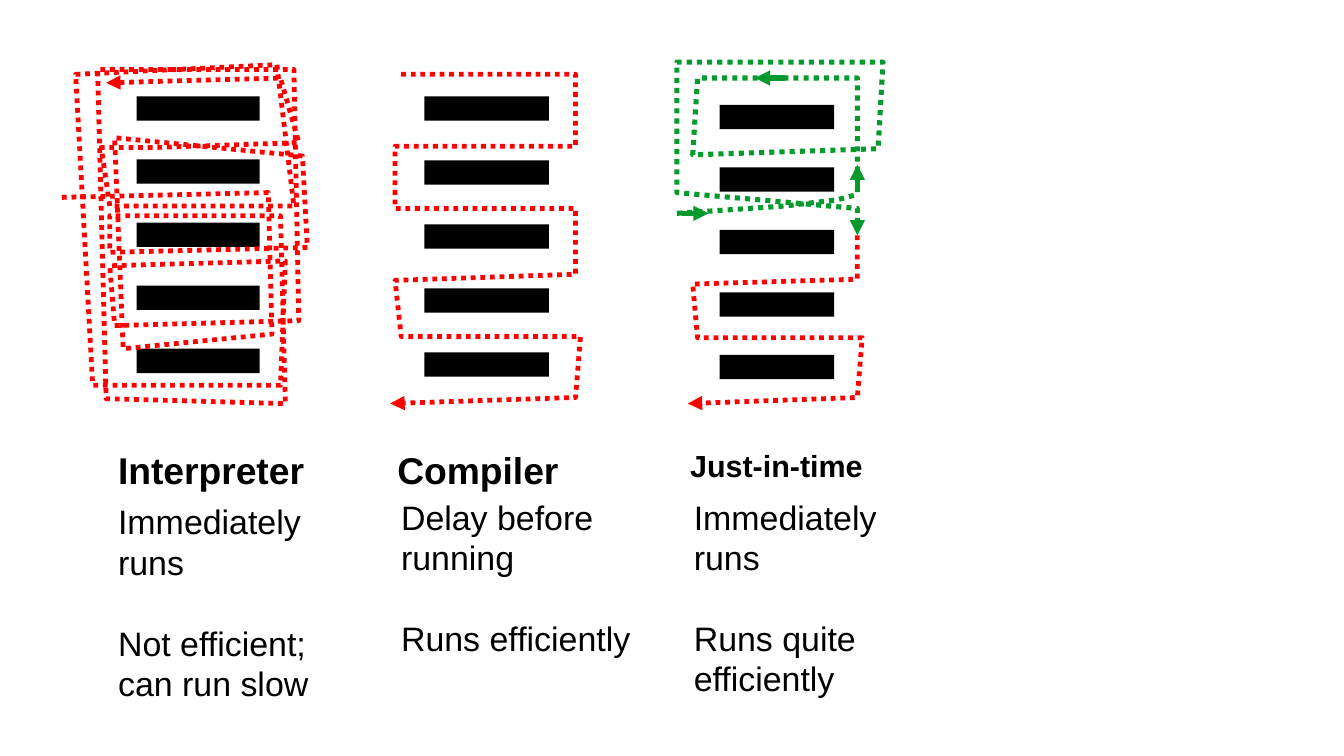
from lxml import etree
from pptx import Presentation
from pptx.dml.color import RGBColor
from pptx.enum import dml, shapes, text
from pptx.oxml.ns import qn
from pptx.util import Inches, Pt

RED, GREEN, BLACK = "FF0000", "069A2E", "000000"


def color(code):
    return RGBColor.from_string(code)


def style(shape, code, width, end, dash=None):
    """Stroke a path or connector and put an arrowhead at one end."""
    shape.line.color.rgb = color(code)
    shape.line.width = Pt(width)
    if dash:
        shape.line.dash_style = dash
    line = shape.line._get_or_add_ln()
    etree.SubElement(line, qn("a:" + end)).set("type", "triangle")


prs = Presentation()
prs.slide_width, prs.slide_height = Inches(11.02), Inches(6.2)
slide = prs.slides.add_slide(prs.slide_layouts[6])

# Execution routes, as corner points in inches
interp = [
    (0.87, 0.68), (2.3, 0.64), (2.45, 1.17), (1.26, 1.21), (0.83, 1.21),
    (0.9, 1.69), (2.41, 1.69), (2.27, 0.53), (0.62, 0.61), (0.76, 3.16),
    (2.3, 3.16), (2.34, 2.14), (0.9, 2.18), (0.94, 2.67), (2.45, 2.63),
    (2.41, 0.57), (0.8, 0.57), (0.87, 3.27), (2.34, 3.31), (2.3, 1.77),
    (0.9, 1.77), (0.9, 2.07), (2.52, 2.03), (2.48, 1.28), (0.94, 1.13),
    (1.01, 2.86), (2.23, 2.74), (2.2, 1.58), (0.47, 1.62)]
comp = [
    (3.29, 0.61), (4.72, 0.61), (4.72, 1.2), (3.24, 1.2), (3.24, 1.71),
    (4.72, 1.71), (4.72, 2.25), (3.24, 2.3), (3.29, 2.76), (4.76, 2.76),
    (4.72, 3.26), (3.2, 3.31)]
cold = [
    (7.03, 1.93), (7.03, 2.29), (5.68, 2.33), (5.72, 2.77), (7.07, 2.77),
    (7.03, 3.26), (5.64, 3.31)]
hot = [
    (5.55, 1.75), (6.43, 1.69), (6.86, 1.64), (7.01, 1.6), (7.03, 1.58),
    (7.03, 0.64), (5.72, 0.64), (5.68, 1.27), (7.2, 1.22), (7.24, 0.51),
    (5.55, 0.51), (5.55, 1.58), (7.03, 1.71), (7.03, 1.93)]

# Per diagram: bar left, first top, last top, width; then its routes
charts = [
    (1.12, 0.79, 2.86, 1.01, [(interp, RED, 2.83, "headEnd")]),
    (3.48, 0.79, 2.89, 1.02, [(comp, RED, 2.83, "tailEnd")]),
    (5.9, 0.86, 2.91, 0.94, [(cold, RED, 2.83, "tailEnd"),
                             (hot, GREEN, 3, "tailEnd")]),
]
for left, top, last, width, routes in charts:
    group = slide.shapes.add_group_shape()
    for row in range(5):
        bar = group.shapes.add_shape(
            shapes.MSO_SHAPE.RECTANGLE, Inches(left),
            Inches(top + row * (last - top) / 4), Inches(width), Inches(0.2))
        bar.shadow.inherit = False
        bar.fill.solid()
        bar.fill.fore_color.rgb = color(BLACK)
        bar.line.fill.background()
    for points, code, weight, end in routes:
        spots = [(Inches(x), Inches(y)) for x, y in points]
        pen = group.shapes.build_freeform(*spots[0])
        pen.add_line_segments(spots[1:], close=False)
        route = pen.convert_to_shape()
        route.shadow.inherit = False
        route.fill.background()
        style(route, code, weight, end, dml.MSO_LINE.ROUND_DOT)

# Direction arrows on the just-in-time route
for x1, y1, x2, y2 in [(6.44, 0.64, 6.19, 0.64), (5.59, 1.75, 5.81, 1.75),
                       (7.03, 1.53, 7.03, 1.35)]:
    arrow = group.shapes.add_connector(
        shapes.MSO_CONNECTOR.STRAIGHT,
        Inches(x1), Inches(y1), Inches(x2), Inches(y2))
    style(arrow, GREEN, 3, "tailEnd")
    etree.SubElement(arrow._element.spPr, qn("a:effectLst"))

# Titles and notes: left, top, width, height, size, bold, paragraphs;
# a second list of lines stands one line lower
blocks = [
    (0.87, 3.62, 1.9, 0.44, 22, True, [["Interpreter"]]),
    (0.87, 4.06, 1.97, 1.65, 20, False,
     [["Immediately", "runs"], ["Not efficient;", "can run slow"]]),
    (3.16, 3.62, 1.72, 0.44, 22, True, [["Compiler"]]),
    (3.19, 4.02, 2.13, 1.65, 20, False,
     [["Delay before running"], ["Runs efficiently"]]),
    (5.56, 3.62, 1.69, 0.44, 18, True, [["Just-in-time"]]),
    (5.59, 4.02, 1.81, 1.65, 20, False,
     [["Immediately", "runs"], ["Runs quite efficiently"]]),
]
for left, top, width, height, size, bold, parts in blocks:
    box = slide.shapes.add_textbox(
        Inches(left), Inches(top), Inches(width), Inches(height))
    frame = box.text_frame
    frame.word_wrap = True
    frame.auto_size = text.MSO_AUTO_SIZE.SHAPE_TO_FIT_TEXT
    para = None
    for part in parts:
        for num, words in enumerate(part):
            first = para is None
            para = frame.paragraphs[0] if first else frame.add_paragraph()
            if num == 0 and not first:
                para.space_before = Pt(23.5)
            run = para.add_run()
            run.text = words
            run.font.name = "Arial"
            run.font.size = Pt(size)
            run.font.bold = bold
            run.font.color.rgb = color(BLACK)

prs.save("out.pptx")
